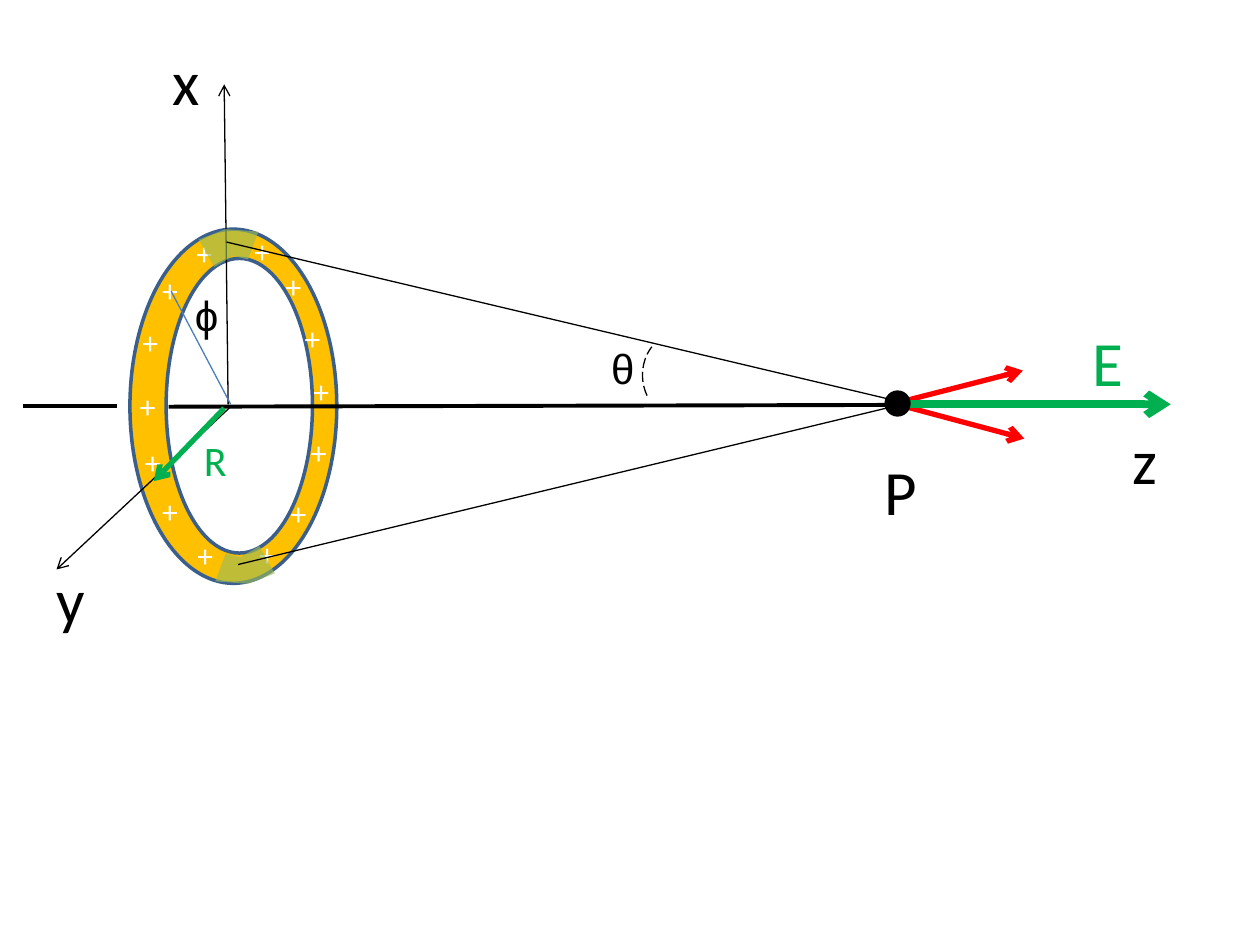
from lxml.etree import SubElement
from pptx import Presentation
from pptx.dml.color import RGBColor
from pptx.enum.dml import MSO_LINE
from pptx.enum.shapes import MSO_CONNECTOR, MSO_SHAPE
from pptx.enum.text import MSO_AUTO_SIZE
from pptx.oxml.ns import qn
from pptx.util import Cm, Pt

BLACK, WHITE, GREEN, RED = "000000", "FFFFFF", "00B050", "FF0000"
GOLD, OUTLINE, OLIVE, BLUE = "FFC000", "3A5F8C", "9BBB59", "4B7EBC"


def rgb(color):
    return RGBColor.from_string(color)


class Diagram:
    font = "Calibri"
    greek_font = "Arial"

    def __init__(self, slide):
        self.shapes = slide.shapes

    def label(self, text, left, top, width, size=36, color=BLACK, font=None, wrap=False, fill=None):
        height = 0.25 + size * 0.043
        box = self.shapes.add_textbox(Cm(left), Cm(top), Cm(width), Cm(height))
        if fill:
            box.fill.solid()
            box.fill.fore_color.rgb = rgb(fill)
        frame = box.text_frame
        frame.word_wrap = wrap
        frame.auto_size = MSO_AUTO_SIZE.SHAPE_TO_FIT_TEXT
        paragraph = frame.paragraphs[0]
        paragraph.text = text
        paragraph.font.name = font or self.font
        paragraph.font.size = Pt(size)
        paragraph.font.color.rgb = rgb(color)

    def angle_name(self, text, left, top):
        self.label(text, left, top, 1.47, 24, font=self.greek_font, wrap=True)

    def ellipse(self, left, top, width, height, fill, outline=None):
        oval = self.shapes.add_shape(MSO_SHAPE.OVAL, Cm(left), Cm(top), Cm(width), Cm(height))
        oval.shadow.inherit = False
        oval.fill.solid()
        oval.fill.fore_color.rgb = rgb(fill)
        if outline:
            oval.line.color.rgb = rgb(outline)
            oval.line.width = Pt(2)
        else:
            oval.line.fill.background()

    def line(self, start, end, color=BLACK, width=0.75, arrow=False):
        points = [Cm(value) for value in (*start, *end)]
        connector = self.shapes.add_connector(MSO_CONNECTOR.STRAIGHT, *points)
        connector.line.color.rgb = rgb(color)
        connector.line.width = Pt(width)
        properties = connector._element.spPr
        if arrow:
            SubElement(properties.find(qn("a:ln")), qn("a:tailEnd"), type="arrow")
        SubElement(properties, qn("a:effectLst"))

    def patch(self, corners, fill, opacity):
        points = [(Cm(x), Cm(y)) for x, y in corners]
        builder = self.shapes.build_freeform(*points[0])
        builder.add_line_segments(points[1:], close=True)
        segment = builder.convert_to_shape()
        segment.shadow.inherit = False
        segment.fill.solid()
        segment.fill.fore_color.rgb = rgb(fill)
        segment.line.fill.background()
        tint = segment._element.spPr.find(qn("a:solidFill")).find(qn("a:srgbClr"))
        SubElement(tint, qn("a:alpha"), val=str(opacity * 1000))

    def angle_arc(self, left, top, width, height, begin, finish):
        arc = self.shapes.add_shape(MSO_SHAPE.ARC, Cm(left), Cm(top), Cm(width), Cm(height))
        arc.shadow.inherit = False
        arc.adjustments[0] = begin
        arc.adjustments[1] = finish
        arc.rotation = 180
        arc.fill.background()
        arc.line.color.rgb = rgb(BLACK)
        arc.line.width = Pt(0.75)
        arc.line.dash_style = MSO_LINE.LONG_DASH


def main():
    deck = Presentation()
    deck.slide_width, deck.slide_height = Cm(25.4), Cm(19.05)
    diagram = Diagram(deck.slides.add_slide(deck.slide_layouts[6]))

    diagram.label("y", 0.89, 11.18, 1.09, fill=WHITE)
    diagram.ellipse(2.62, 4.62, 4.17, 7.14, GOLD, OUTLINE)
    diagram.ellipse(3.35, 5.21, 2.95, 5.94, WHITE, OUTLINE)

    charges = [
        (4.88, 4.55), (3.02, 5.33), (5.89, 6.3), (5.51, 5.26), (3.71, 4.6),
        (2.62, 6.38), (2.57, 7.67), (5.61, 9.83), (6.07, 7.37), (2.67, 8.81),
        (3.02, 9.8), (3.73, 10.69), (4.98, 10.67), (6.02, 8.61),
    ]
    for left, top in charges:
        diagram.label("+", left, top, 0.84, 18, WHITE)

    diagram.line((3.4, 8.2), (23.09, 8.15), width=2.25)
    diagram.line((0.46, 8.18), (2.36, 8.18), width=2.25)
    diagram.line((4.6, 8.15), (4.52, 1.7), arrow=True)
    diagram.line((4.65, 8.2), (1.14, 11.48), arrow=True)

    upper_segment = [(4.01, 4.83), (4.55, 4.62), (5.21, 4.67),
                     (5, 5.23), (4.7, 5.16), (4.32, 5.38)]
    lower_segment = [(9.55 - x, 16.39 - y) for x, y in upper_segment]
    for segment in (upper_segment, lower_segment):
        diagram.patch(segment, OLIVE, 63)

    diagram.line((18.49, 8.18), (4.57, 4.88))
    diagram.label("z", 22.58, 8.38, 1.02)
    diagram.line((18.26, 8.2), (20.65, 8.84), RED, 3, arrow=True)
    diagram.angle_name("θ", 12.07, 6.78)
    diagram.angle_arc(12.95, 6.71, 1.47, 1.7, 196.27, 27.75)
    diagram.label("x", 3.23, 0.74, 1.07, fill=WHITE)
    diagram.line((18.19, 8.15), (4.8, 11.38))
    diagram.line((18.24, 8.08), (20.62, 7.47), RED, 3, arrow=True)
    diagram.line((4.52, 8.23), (3.1, 9.7), GREEN, 3, arrow=True)
    diagram.label("R", 3.86, 8.64, 0.97, 24, GREEN)
    diagram.line((18.19, 8.15), (23.6, 8.15), GREEN, 4.5, arrow=True)
    diagram.label("E", 21.77, 6.4, 1.14, color=GREEN)
    diagram.ellipse(17.83, 7.87, 0.53, 0.53, BLACK)
    diagram.label("P", 17.58, 8.99, 1.17)
    diagram.line((4.65, 8.15), (3.45, 5.87), BLUE)
    diagram.angle_name("ϕ", 3.68, 5.72)

    deck.save("out.pptx")


if __name__ == "__main__":
    main()
